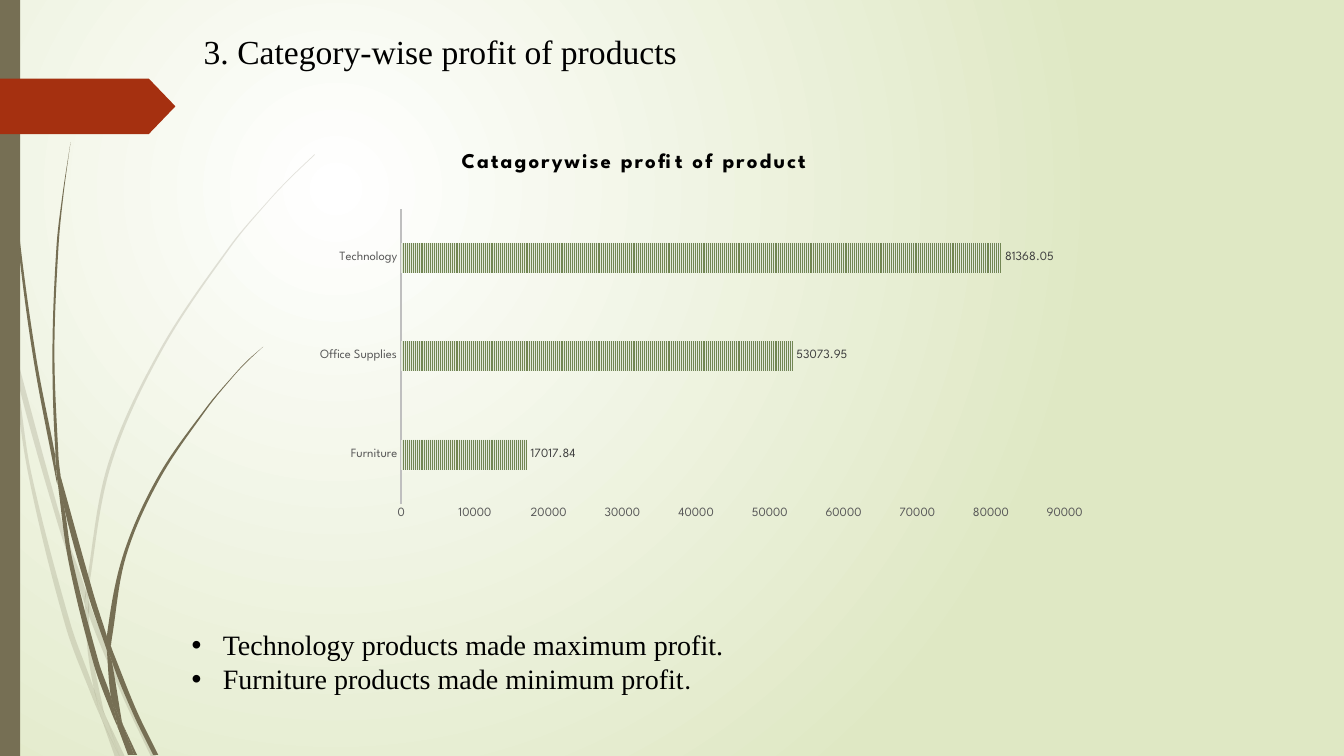
import math

import lxml.etree
import pptx
import pptx.chart.data
import pptx.dml.color
import pptx.enum.chart
import pptx.enum.dml
import pptx.enum.shapes
import pptx.enum.text
import pptx.oxml.ns
import pptx.util

Inches, Pt, qn = pptx.util.Inches, pptx.util.Pt, pptx.oxml.ns.qn
RGBColor = pptx.dml.color.RGBColor

BLACK = RGBColor(0x00, 0x00, 0x00)
WHITE = RGBColor(0xFF, 0xFF, 0xFF)
PALE_GREEN = RGBColor(0xDF, 0xE8, 0xC4)
OLIVE = RGBColor(0x76, 0x6F, 0x54)
RUST = RGBColor(0xA5, 0x30, 0x10)
BAR_GREEN = RGBColor(0x72, 0x86, 0x53)
BAR_PALE = RGBColor(0xE3, 0xE9, 0xDB)
AXIS_TEXT = RGBColor(0x59, 0x59, 0x59)
AXIS_LINE = RGBColor(0xBF, 0xBF, 0xBF)
LABEL_TEXT = RGBColor(0x40, 0x40, 0x40)
SERIF, SANS = "Times New Roman", "League Spartan"
CHART_WIDTH, CHART_HEIGHT = 8.74, 4.12

PALE_STEMS = [
    "0.11,3.5 0.09,3.22 0,2.82 0,2.99 0.1,3.44",
    "0.58,5.22 0.84,5.99 0.85,5.86 0.62,5.2 0.14,3.45 0.17,3.76",
    "0.92,6.07 0.88,5.96 0.88,6.1 1.23,6.94 1.5,7.51 1.55,7.51 1.27,6.92",
    "1.19,7.51 1.24,7.51 1.05,7.11",
    "0.93,6.83 0.7,6.19 0.31,4.69 0.17,3.76 0.11,3.5 0.28,4.7 0.65,6.21 0.92,6.93 1.01,7.14 0.99,7.07",
    "0.84,5.99 0.87,6.46 0.93,6.83 0.96,6.92 1.05,7.11 1.03,7.06 0.91,6.46 0.88,6.1 0.88,6.08",
    "0.88,5.84 1.1,4.62 1.6,3.49 2.29,2.45 2.68,1.98 2.9,1.75 3.12,1.54 3.12,1.53 2.89,1.75 2.68,1.97 "
    "2.28,2.44 1.58,3.48 1.07,4.61 0.85,5.84 0.85,5.86 0.88,5.96",
    "1.01,7.14 1.14,7.51 1.19,7.51",
    "0.88,6.08 0.88,6.1 0.88,5.96 0.85,5.86 0.84,5.99",
    "0.96,6.92 0.93,6.83 0.99,7.07 1.01,7.14 1.19,7.51 1.05,7.11",
]
DARK_STEMS = [
    "0.07,1.1 0.17,2.33 0.33,3.55 0.56,4.77 0.57,4.81 0.55,4.57 0.55,4.53 0.36,3.55 0.19,2.32 0.08,1.09 "
    "0.05,0.48 0.04,0 0.03,0 0.04,0.48",
    "0.88,5.92 1.06,6.45 1.06,6.33 1.06,6.31 0.93,5.9 0.6,4.72 0.64,5.05",
    "1.13,6.49 1.1,6.41 1.11,6.56 1.32,7.08 1.52,7.49 1.57,7.49 1.36,7.06",
    "1.1,6.91 0.98,6.57 0.72,5.56 0.64,5.05 0.57,4.77 0.68,5.57 0.93,6.59 1.11,7.08 1.17,7.22 1.16,7.17",
    "0.6,4.72 0.58,4.53 0.54,3.49 0.58,2.45 0.63,1.93 0.7,1.41 0.62,1.93 0.56,2.45 0.52,3.49 0.55,4.49",
    "1.33,7.49 1.36,7.49 1.22,7.19",
    "0.57,4.77 0.64,5.05 0.6,4.72 0.55,4.49 0.55,4.53",
    "1.11,6.33 1.25,5.52 1.58,4.76 2.05,4.06 2.31,3.74 2.45,3.59 2.61,3.44 2.45,3.58 2.31,3.73 2.04,4.05 "
    "1.56,4.74 1.22,5.51 1.06,6.31 1.1,6.41",
    "1.17,7.22 1.27,7.49 1.31,7.49",
    "1.06,6.45 1.1,6.91 1.16,7.06 1.22,7.19 1.21,7.16 1.11,6.56 1.09,6.51",
    "1.06,6.45 1.09,6.51 1.11,6.56 1.1,6.41 1.06,6.31 1.06,6.33",
    "1.16,7.06 1.1,6.91 1.16,7.17 1.17,7.22 1.3,7.49 1.33,7.49 1.22,7.19",
]


def add_element(parent, tag, **attributes):
    return lxml.etree.SubElement(parent, qn(tag), attributes)


def style_font(font, name, size, color, bold=False):
    font.name, font.size, font.bold = name, Pt(size), bold
    font.color.rgb = color


def paint(shape, color):
    shape.shadow.inherit = False
    shape.fill.solid()
    shape.fill.fore_color.rgb = color
    shape.line.fill.background()


def paint_background(slide):
    fill = slide.background.fill
    fill.gradient()
    for stop, color, position in zip(fill.gradient_stops, (WHITE, PALE_GREEN), (0, 1)):
        stop.color.rgb, stop.position = color, position
    gradient = next(slide.element.iter(qn("a:gradFill")))
    gradient.remove(gradient.find(qn("a:lin")))
    circle = add_element(gradient, "a:path", path="circle")
    add_element(circle, "a:fillToRect", l="50000", t="50000", r="100000", b="100000")


def heading(start, end):
    length = math.dist(start, end)
    return [(b - a) / length for a, b in zip(start, end)]


def tangents(before, point, after):
    arrive, leave = heading(before, point), heading(point, after)
    if arrive[0] * leave[0] + arrive[1] * leave[1] < 0.8:
        return arrive, leave
    return [heading(before, after)] * 2


def add_stem(slide, outline, opacity):
    points = [tuple(Inches(float(n)) for n in pair.split(",")) for pair in outline.split()]
    builder = slide.shapes.build_freeform(*points[0])
    builder.add_line_segments(points[1:] + points[:1], close=True)
    stem = builder.convert_to_shape()
    paint(stem, OLIVE)
    color = next(stem.element.spPr.iter(qn("a:srgbClr")))
    add_element(color, "a:alpha", val=str(opacity * 1000))

    count = len(points)
    bends = [tangents(points[i - 1], points[i], points[(i + 1) % count]) for i in range(count)]
    for i, line in enumerate(list(stem.element.spPr.iter(qn("a:lnTo")))[:count]):
        j = (i + 1) % count
        reach = math.dist(points[i], points[j]) / 3
        first = [a + reach * u for a, u in zip(points[i], bends[i][1])]
        second = [b - reach * v for b, v in zip(points[j], bends[j][0])]
        line.tag = qn("a:cubicBezTo")
        line.remove(line[0])
        for x, y in (first, second, points[j]):
            add_element(line, "a:pt", x=str(round(x - stem.left)), y=str(round(y - stem.top)))


def add_block(slide, kind, left, top, width, height, color):
    block = slide.shapes.add_shape(kind, Inches(left), Inches(top), Inches(width), Inches(height))
    paint(block, color)
    return block


def fill_placeholder(box, left, top, width, height, lines, size):
    box.left, box.top, box.width, box.height = map(Inches, (left, top, width, height))
    frame = box.text_frame
    frame.text = "\n".join(lines)
    frame.auto_size = pptx.enum.text.MSO_AUTO_SIZE.NONE
    frame.vertical_anchor = pptx.enum.text.MSO_ANCHOR.TOP
    for para in frame.paragraphs:
        para.alignment = pptx.enum.text.PP_ALIGN.LEFT
        para.space_before = Pt(0)
        style_font(para.runs[0].font, SERIF, size, BLACK)


def add_bullets(box):
    for para in box.text_frame.paragraphs:
        properties = para._p.get_or_add_pPr()
        properties.set("marL", str(Inches(0.31)))
        properties.set("indent", str(Inches(-0.31)))
        add_element(properties, "a:buFont", typeface="Arial")
        add_element(properties, "a:buChar", char="•")


def set_layout(parent, index, sizes, **modes):
    for old in parent.findall(qn("c:layout")):
        parent.remove(old)
    layout = lxml.etree.Element(qn("c:layout"))
    manual = add_element(layout, "c:manualLayout")
    shares = {name: size / (CHART_WIDTH if name in "xw" else CHART_HEIGHT) for name, size in sizes.items()}
    for name, value in {**modes, "xMode": "edge", "yMode": "edge", **shares}.items():
        add_element(manual, f"c:{name}", val=str(value))
    parent.insert(index, layout)


def style_axis(axis):
    axis.has_major_gridlines = False
    axis.major_tick_mark = axis.minor_tick_mark = pptx.enum.chart.XL_TICK_MARK.NONE
    style_font(axis.tick_labels.font, SANS, 9, AXIS_TEXT)


def add_profit_chart(slide):
    data = pptx.chart.data.CategoryChartData()
    data.categories = ["Furniture", "Office Supplies", "Technology"]
    data.add_series("Series 1", (17017.84, 53073.95, 81368.05))
    chart = slide.shapes.add_chart(
        pptx.enum.chart.XL_CHART_TYPE.BAR_CLUSTERED, Inches(2.42), Inches(1.27),
        Inches(CHART_WIDTH), Inches(CHART_HEIGHT), data).chart
    style_font(chart.font, SANS, 10, BLACK)
    chart.has_legend = False
    title = chart.chart_title
    title.text_frame.text = "Catagorywise profit of product"
    span = title.text_frame.paragraphs[0].runs[0]
    style_font(span.font, SANS, 15, BLACK, bold=True)
    span.font._element.set("spc", "150")
    set_layout(title._element, 1, {"x": 2.12, "y": 0.19})
    set_layout(chart._chartSpace.chart.plotArea, 0, {"x": 1.56, "y": 0.8, "w": 6.58, "h": 2.93},
               layoutTarget="inner")
    categories, values = chart.category_axis, chart.value_axis
    style_axis(categories)
    categories.format.line.color.rgb = AXIS_LINE
    categories.format.line.width = Pt(1.5)
    style_axis(values)
    values.format.line.fill.background()
    values.minimum_scale, values.maximum_scale, values.major_unit = 0, 90000, 10000
    plot = chart.plots[0]
    plot.vary_by_categories = False
    plot.gap_width, plot.overlap = 227, -48
    fill = plot.series[0].format.fill
    fill.patterned()
    fill.pattern = pptx.enum.dml.MSO_PATTERN.NARROW_VERTICAL
    fill.fore_color.rgb, fill.back_color.rgb = BAR_GREEN, BAR_PALE
    labels = plot.series[0].data_labels
    labels.show_value = True
    labels.position = pptx.enum.chart.XL_LABEL_POSITION.OUTSIDE_END
    style_font(labels.font, SANS, 9, LABEL_TEXT)


def main():
    deck = pptx.Presentation()
    deck.slide_width, deck.slide_height = Inches(13.33), Inches(7.5)
    page = deck.slides.add_slide(deck.slide_layouts[1])
    paint_background(page)
    for stems, opacity in ((PALE_STEMS, 20), (DARK_STEMS, 100)):
        for outline in stems:
            add_stem(page, outline, opacity)
    kinds = pptx.enum.shapes.MSO_SHAPE
    add_block(page, kinds.RECTANGLE, 0, 0, 0.2, 7.5, OLIVE)
    arrow = add_block(page, kinds.PENTAGON, 0, 0.78, 1.74, 0.55, RUST)
    arrow.adjustments[0] = 0.48
    title, body = page.placeholders
    fill_placeholder(title, 1.92, 0.26, 9.75, 1.4, ["3. Category-wise profit of products"], 24)
    fill_placeholder(body, 1.8, 6.18, 5.51, 0.77, ["Technology products made maximum profit.",
                                                 "Furniture products made minimum profit"], 20)
    add_bullets(body)
    stop = body.text_frame.paragraphs[1].add_run()
    stop.text = "."
    style_font(stop.font, SANS, 18, BLACK)
    add_profit_chart(page)
    deck.save("out.pptx")


if __name__ == "__main__":
    main()
